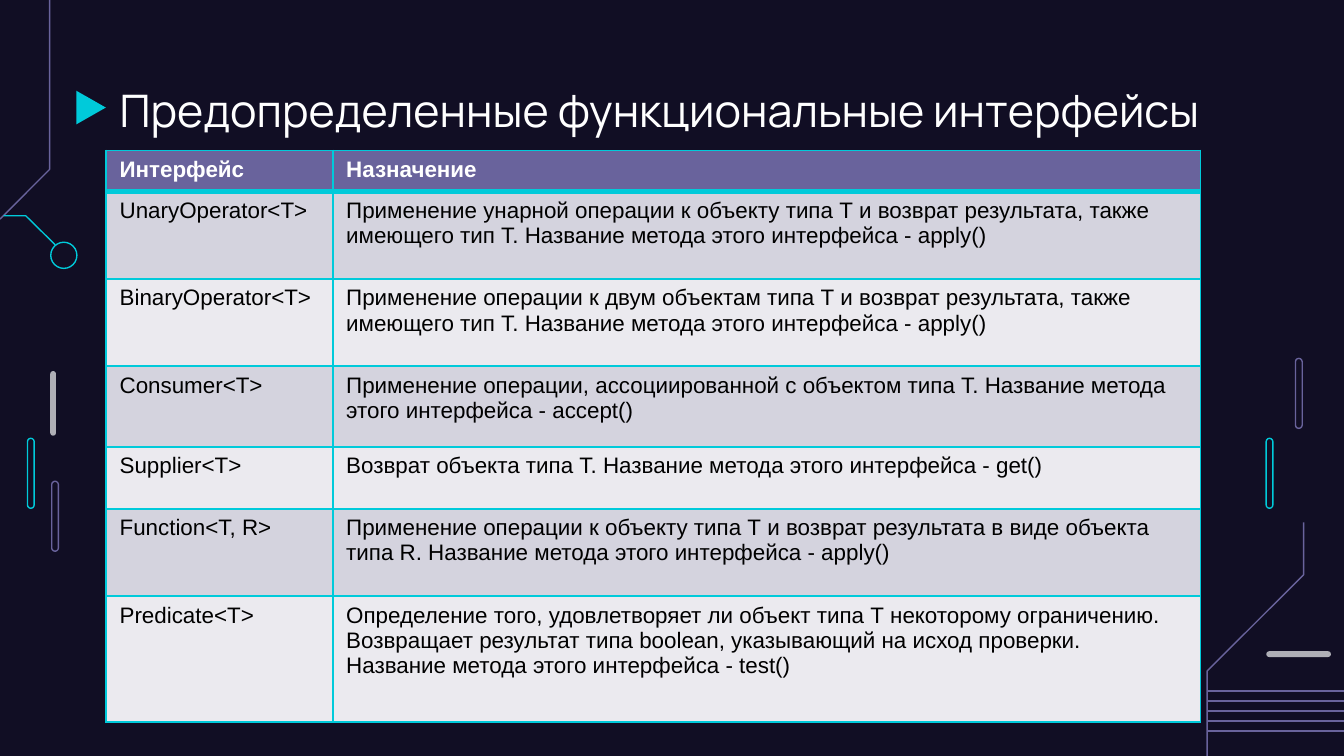
from dataclasses import dataclass

from lxml import etree
from pptx import Presentation
from pptx import util as u
from pptx.dml.color import RGBColor
from pptx.enum import shapes, text
from pptx.oxml import ns


@dataclass(frozen=True)
class Theme:
    background: str = "110E24"
    cyan: str = "00CADA"
    violet: str = "69639C"
    grey: str = "AFAFB6"
    light: str = "FFFFFF"
    dark: str = "000000"
    bands: tuple = ("D4D3DE", "EBEAEF")
    title_font: str = "Manrope"
    body_font: str = "Arial"
    title_size: float = 24
    body_size: float = 12
    line: float = 0.75
    border: float = 1
    header_border: float = 3


class SlideBuilder:
    """Draws styled elements on the current slide, with lengths in points."""

    def __init__(self, page, theme):
        self.page = page
        self.theme = theme
        page.background.fill.solid()
        page.background.fill.fore_color.rgb = RGBColor.from_string(theme.background)

    def outline(self, item, color):
        item.line.color.rgb = RGBColor.from_string(color)
        item.line.width = u.Pt(self.theme.line)

    def paint(self, shape, fill=None, line=None):
        shape.shadow.inherit = False
        if fill:
            shape.fill.solid()
            shape.fill.fore_color.rgb = RGBColor.from_string(fill)
        else:
            shape.fill.background()
        if line:
            self.outline(shape, line)
        else:
            shape.line.fill.background()

    def shape(self, kind, bounds, fill=None, line=None, rotation=0):
        shape = self.page.shapes.add_shape(kind, *map(u.Pt, bounds))
        shape.rotation = rotation
        self.paint(shape, fill, line)
        return shape

    def pill(self, bounds, fill=None, line=None):
        pill = self.shape(shapes.MSO_SHAPE.ROUNDED_RECTANGLE, bounds, fill, line)
        pill.adjustments[0] = 0.5

    def trace(self, points, color):
        start, *rest = [(u.Pt(x), u.Pt(y)) for x, y in points]
        builder = self.page.shapes.build_freeform(*start)
        builder.add_line_segments(rest, close=False)
        self.paint(builder.convert_to_shape(), line=color)

    def line(self, start, end, color):
        line = self.page.shapes.add_connector(
            shapes.MSO_CONNECTOR.STRAIGHT, *map(u.Pt, (*start, *end)))
        self.outline(line, color)
        etree.SubElement(line._element.spPr, ns.qn("a:effectLst"))

    def add_text(self, frame, content, color, **font):
        para = frame.paragraphs[0]
        para.alignment = text.PP_ALIGN.LEFT
        span = para.add_run()
        span.text = content
        span.font.color.rgb = RGBColor.from_string(color)
        for name, value in font.items():
            setattr(span.font, name, value)

    def title(self, content, bounds):
        box = self.page.shapes.title
        for name, value in zip(("left", "top", "width", "height"), bounds):
            setattr(box, name, u.Pt(value))
        frame_format = {
            "margin_left": u.Pt(7.2), "margin_right": u.Pt(7.2),
            "margin_top": u.Pt(7.2), "margin_bottom": u.Pt(7.2),
            "vertical_anchor": text.MSO_ANCHOR.MIDDLE,
            "auto_size": text.MSO_AUTO_SIZE.NONE, "word_wrap": True,
        }
        for name, value in frame_format.items():
            setattr(box.text_frame, name, value)
        self.add_text(box.text_frame, content, self.theme.light,
                      name=self.theme.title_font, size=u.Pt(self.theme.title_size))

    def borders(self, cell, widths):
        properties = cell._tc.get_or_add_tcPr()
        for side, width in widths.items():
            edge = etree.SubElement(properties, ns.qn(f"a:ln{side}"), w=str(u.Pt(width)))
            fill = etree.SubElement(edge, ns.qn("a:solidFill"))
            etree.SubElement(fill, ns.qn("a:srgbClr"), val=self.theme.cyan)

    def table(self, rows, position, widths, heights):
        theme = self.theme
        bounds = (*position, sum(widths), sum(heights))
        table = self.page.shapes.add_table(
            len(rows), len(widths), *map(u.Pt, bounds)).table
        for column, width in zip(table.columns, widths):
            column.width = u.Pt(width)
        for index, (row, values) in enumerate(zip(table.rows, rows)):
            row.height = u.Pt(heights[index])
            header = index == 0
            edges = dict.fromkeys("LRTB", theme.border)
            if index < 2:
                edges["B" if header else "T"] = theme.header_border
            fill = theme.violet if header else theme.bands[(index - 1) % 2]
            for cell, value in zip(row.cells, values):
                self.borders(cell, edges)
                cell.fill.solid()
                cell.fill.fore_color.rgb = RGBColor.from_string(fill)
                self.add_text(cell.text_frame, value, theme.light if header else theme.dark,
                              name=theme.body_font, size=u.Pt(theme.body_size), bold=header)


INTERFACES = [
    ("Интерфейс", "Назначение"),
    ("UnaryOperator<T>", "Применение унарной операции к объекту типа Т и возврат результата, "
     "также имеющего тип Т. Название метода этого интерфейса - apply()"),
    ("BinaryOperator<T>", "Применение операции к двум объектам типа Т и возврат результата, "
     "также имеющего тип Т. Название метода этого интерфейса - apply()"),
    ("Consumer<T>", "Применение операции, ассоциированной с объектом типа Т. "
     "Название метода этого интерфейса - accept()"),
    ("Supplier<T>", "Возврат объекта типа Т. Название метода этого интерфейса - get()"),
    ("Function<T, R>", "Применение операции к объекту типа Т и возврат результата "
     "в виде объекта типа R. Название метода этого интерфейса - apply()"),
    ("Predicate<T>", "Определение того, удовлетворяет ли объект типа Т некоторому ограничению. "
     "Возвращает результат типа boolean, указывающий на исход проверки. "
     "Название метода этого интерфейса - test()"),
]


def main():
    theme = Theme()
    deck = Presentation()
    deck.slide_width, deck.slide_height = u.Pt(720), u.Pt(405)
    builder = SlideBuilder(deck.slides.add_slide(deck.slide_layouts[5]), theme)

    for left, top, color in ((678.3, 234.8, theme.cyan), (694, 192, theme.violet),
                             (14.7, 234.8, theme.cyan), (27.7, 257.8, theme.violet)):
        builder.pill((left, top, 3.6, 37.5), line=color)
    for bounds in ((678.4, 348.9, 34.6, 3.1), (26.9, 198.8, 3.1, 34.6)):
        builder.pill(bounds, fill=theme.grey)

    builder.trace([(26.6, 0), (26.6, 90.8), (0, 117.4)], theme.violet)
    builder.trace([(29.6, 131.2), (13.8, 115.6), (2, 115.6)], theme.cyan)
    builder.trace([(698.4, 279.8), (698.4, 307.9), (646.7, 359.5), (646.7, 405)], theme.violet)
    builder.shape(shapes.MSO_SHAPE.OVAL, (27.2, 129.8, 14, 14), line=theme.cyan)
    for step in range(5):
        height = 370.1 + 5.4 * step
        builder.line((720, height), (646.7, height), theme.violet)

    builder.shape(shapes.MSO_SHAPE.FLOWCHART_MERGE, (39.8, 49.7, 18, 15.8),
                  fill=theme.cyan, rotation=270)
    builder.title("Предопределенные функциональные интерфейсы", (56.9, 36, 701.3, 45.4))
    builder.table(INTERFACES, (56.9, 80.6), (121.4, 464.8),
                  (22, 46.8, 46.8, 43.2, 33.2, 46.8, 67.4))
    deck.save("out.pptx")


if __name__ == "__main__":
    main()
